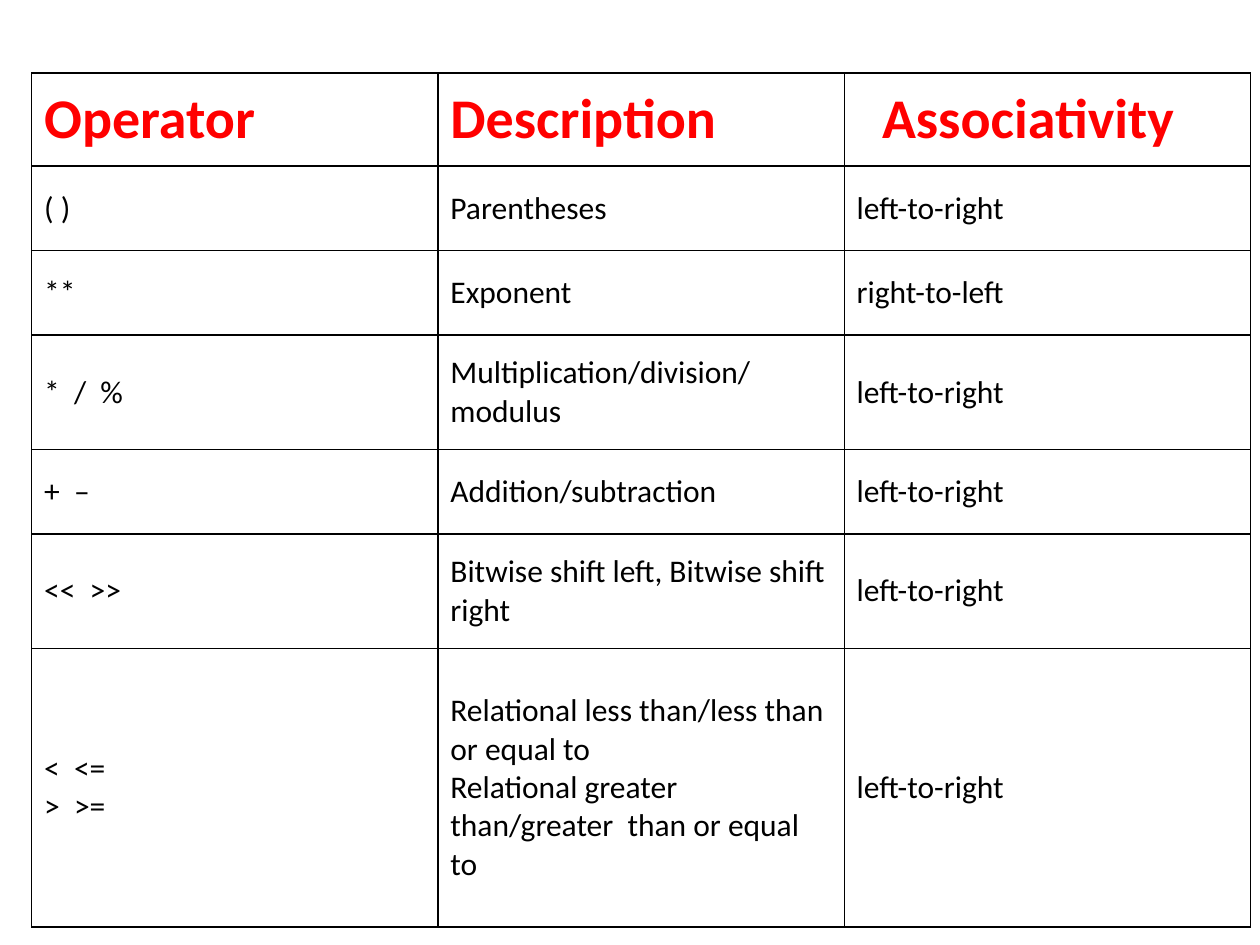
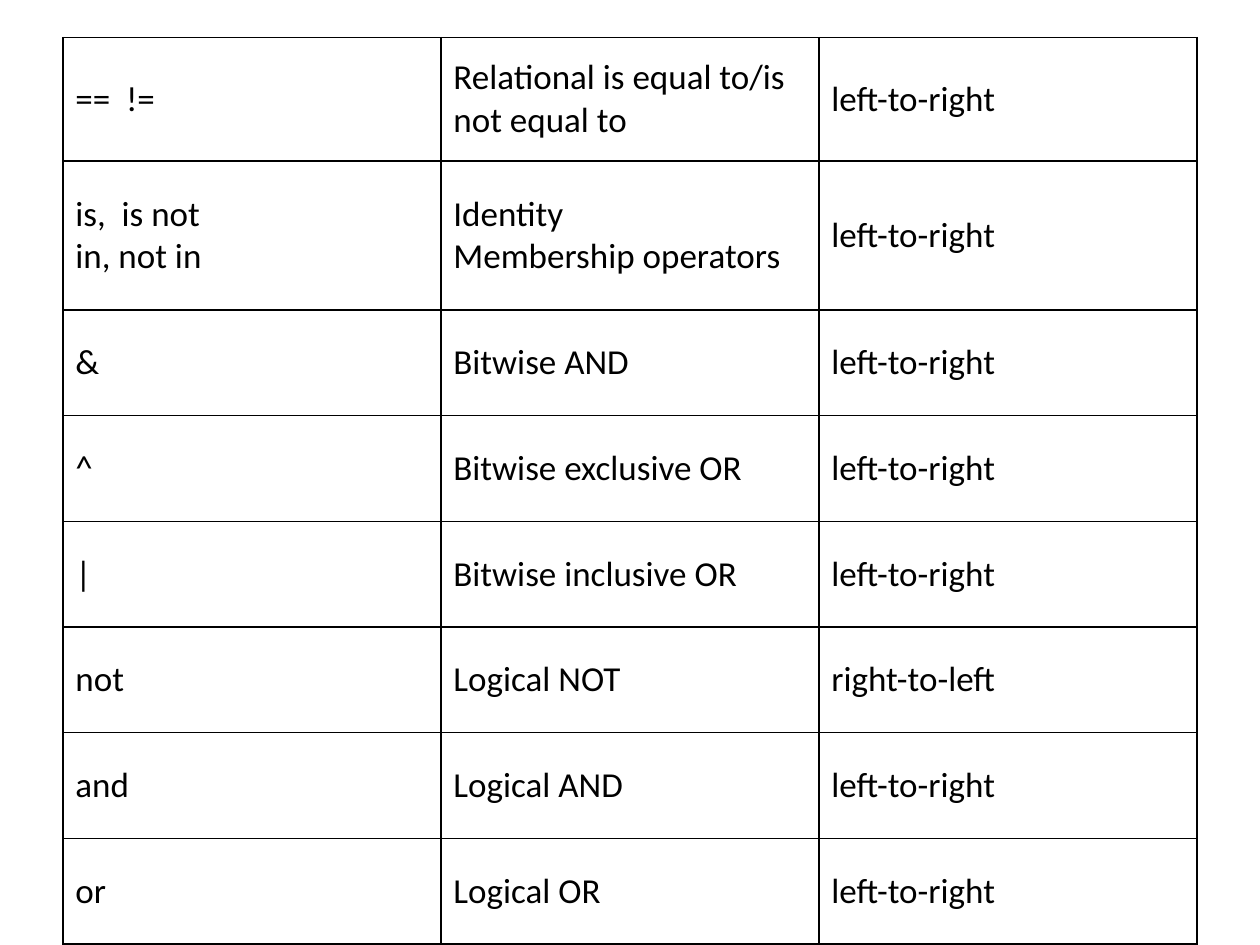
"""Build two slides with tables of operator precedence and associativity."""
from lxml.etree import SubElement
from pptx import Presentation
from pptx.dml.color import RGBColor
from pptx.enum.text import MSO_ANCHOR
from pptx.oxml.ns import qn
from pptx.util import Cm, Pt

COLORS = {"head": "FF0000", "text": "000000", "border": "000000", "fill": "FFFFFF"}
FONT = "Calibri"
LTR, RTL = "left-to-right", "right-to-left"


def add_borders(cell):
    tcPr = cell._tc.get_or_add_tcPr()
    for side in ("lnL", "lnR", "lnT", "lnB"):
        ln = SubElement(tcPr, qn(f"a:{side}"), w=str(Pt(1)))
        fill = SubElement(ln, qn("a:solidFill"))
        SubElement(fill, qn("a:srgbClr"), val=COLORS["border"])


def fill_cell(cell, text, size, head):
    add_borders(cell)
    cell.fill.solid()
    cell.fill.fore_color.rgb = RGBColor.from_string(COLORS["fill"])
    cell.vertical_anchor = MSO_ANCHOR.MIDDLE
    cell.margin_left = cell.margin_right = Cm(0.25)
    cell.margin_top = cell.margin_bottom = Cm(0.25 if head else 0.38)
    tf = cell.text_frame
    for i, line in enumerate(text.split("\n")):
        p = tf.add_paragraph() if i else tf.paragraphs[0]
        r = p.add_run()
        r.text = line
        r.font.name = FONT
        r.font.size = Pt(32 if head else size)
        r.font.bold = head
        r.font.color.rgb = RGBColor.from_string(COLORS["head" if head else "text"])


tables = [
    {
        "left": 0.64, "top": 1.47, "col": 8.19, "size": 18, "head": True,
        "rows": [
            (1.55, "Operator", "Description", "Associativity"),
            (1.7, "( )", "Parentheses", LTR),
            (1.7, "**", "Exponent", RTL),
            (2.29, "*  /  %", "Multiplication/division/modulus", LTR),
            (1.7, "+  –", "Addition/subtraction", LTR),
            (2.29, "<<  >>", "Bitwise shift left, Bitwise shift right", LTR),
            (5.61, "<  <=\n>  >=",
             "Relational less than/less than or equal to\n"
             "Relational greater than/greater  than or equal to", LTR),
        ],
    },
    {
        "left": 1.27, "top": 0.76, "col": 7.62, "size": 20, "head": False,
        "rows": [
            (2.13, "==  !=", "Relational is equal to/is not equal to", LTR),
            (3, "is,  is not\nin, not in", "Identity\nMembership operators", LTR),
            (2.13, "&", "Bitwise AND", LTR),
            (2.13, "^", "Bitwise exclusive OR", LTR),
            (2.13, "|", "Bitwise inclusive OR", LTR),
            (2.13, "not", "Logical NOT", RTL),
            (2.13, "and", "Logical AND", LTR),
            (2.13, "or", "Logical OR", LTR),
        ],
    },
]

prs = Presentation()
prs.slide_width, prs.slide_height = Cm(25.4), Cm(19.05)

for t in tables:
    s = prs.slides.add_slide(prs.slide_layouts[6])
    rows = t["rows"]
    height = sum(row[0] for row in rows)
    tbl = s.shapes.add_table(len(rows), 3, Cm(t["left"]), Cm(t["top"]),
                             Cm(3 * t["col"]), Cm(height)).table
    tbl.first_row = tbl.horz_banding = False
    for col in tbl.columns:
        col.width = Cm(t["col"])
    for i, (row_height, *texts) in enumerate(rows):
        tbl.rows[i].height = Cm(row_height)
        for j, text in enumerate(texts):
            fill_cell(tbl.cell(i, j), text, t["size"], t["head"] and i == 0)
    if t["head"]:
        tbl.cell(0, 2).margin_left = Cm(0.76)

prs.save("out.pptx")
